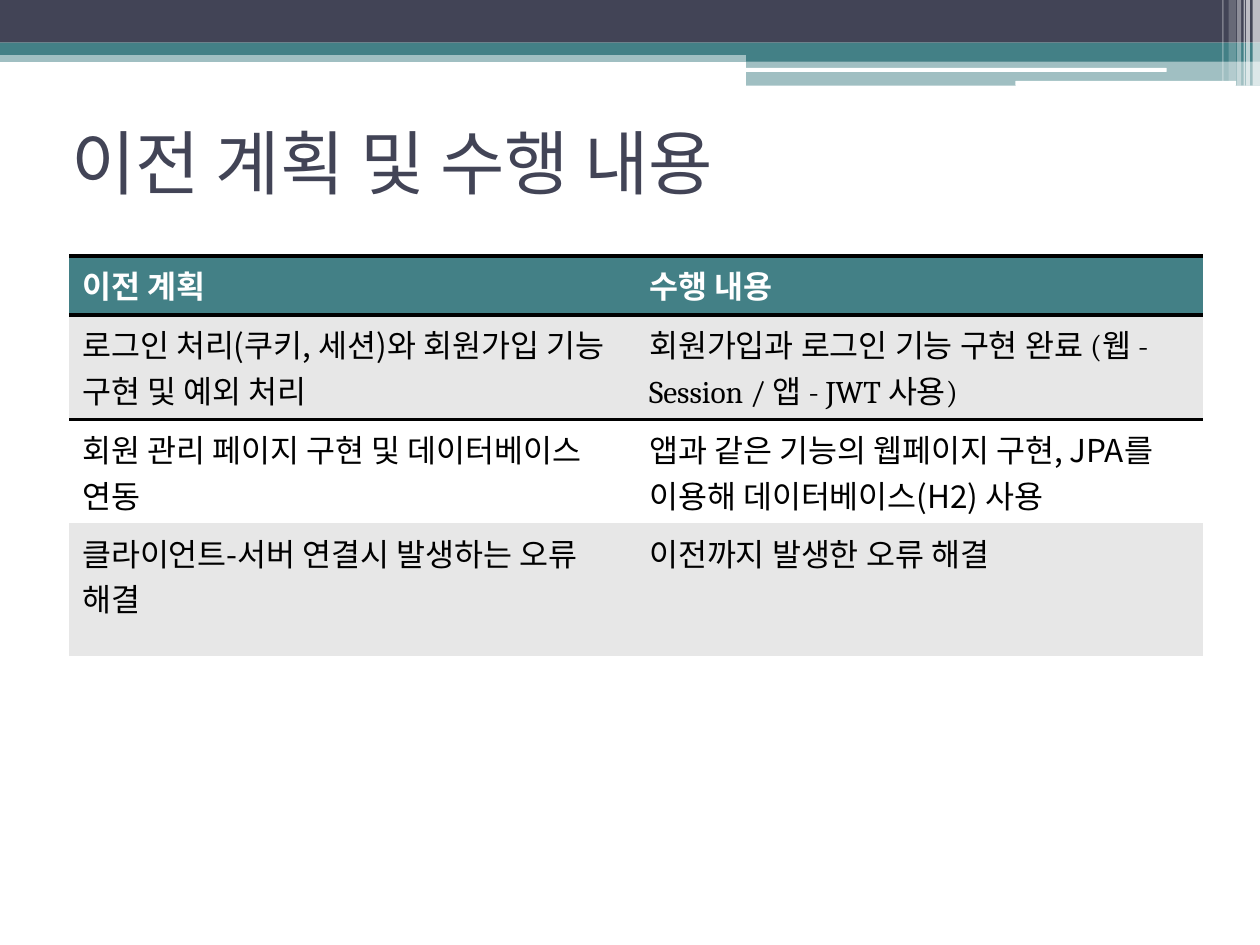
from dataclasses import dataclass
from lxml.etree import SubElement
from pptx import Presentation
from pptx.dml.color import RGBColor
from pptx.enum.shapes import MSO_SHAPE
from pptx.enum.text import MSO_ANCHOR, PP_ALIGN
from pptx.oxml import parse_xml
from pptx.oxml.ns import qn
from pptx.util import Cm, Pt


@dataclass(frozen=True)
class Theme:
    navy: str = "424456"
    teal: str = "438086"
    white: str = "FFFFFF"
    black: str = "000000"
    gray: str = "E7E7E7"
    head: int = 40
    body: int = 18
    sans: str = "Noto Sans"
    serif: str = "Cambria"
    asian: str = "Noto Sans CJK KR"


theme = Theme()

TITLE = "이전 계획 및 수행 내용"
ROWS = [
    ("이전 계획", "수행 내용"),
    ("로그인 처리(쿠키, 세션)와 회원가입 기능 구현 및 예외 처리",
     "회원가입과 로그인 기능 구현 완료 (웹 - Session / 앱 - JWT 사용)"),
    ("회원 관리 페이지 구현 및 데이터베이스 연동",
     "앱과 같은 기능의 웹페이지 구현, JPA를 이용해 데이터베이스(H2) 사용"),
    ("클라이언트-서버 연결시 발생하는 오류 해결", "이전까지 발생한 오류 해결"),
]
HEIGHTS = [1.19, 2.11, 1.98, 2.67]
SERIF_CELLS = {(0, 0), (0, 1), (1, 1)}

BARS = [
    (0, 1.02, 25.4, 0.23, theme.teal, 50),
    (0, 0, 25.4, 0.86, theme.navy, 100),
    (0, 0.86, 25.4, 0.25, theme.teal, 100),
    (15.04, 0.99, 10.36, 0.25, theme.teal, 100),
    (15.04, 1.22, 10.36, 0.51, theme.teal, 50),
]
PILLS = [(15.01, 1.37, 8.51, 0.08), (20.47, 1.63, 4.45, 0.1)]
STRIPES = [
    (25.25, 0.15, 1.73, 65),
    (25.12, 0.08, 1.73, 65),
    (25.07, 0.03, 1.73, 60),
    (24.94, 0.08, 1.73, 40),
    (24.77, 0.15, 1.63, 20),
    (24.64, 0.03, 1.63, 30),
]

deck = Presentation()
deck.slide_width, deck.slide_height = Cm(25.4), Cm(19.05)
slide = deck.slides.add_slide(deck.slide_layouts[5])


def write(frame, text, size, font, color, bold=False):
    para = frame.paragraphs[0]
    para.alignment = PP_ALIGN.LEFT
    run = para.add_run()
    run.text = text
    run.font.size = Pt(size)
    run.font.name = font
    run.font.bold = bold
    run.font.color.rgb = RGBColor.from_string(color)
    SubElement(run.font._element, qn("a:ea"), typeface=theme.asian)


def draw(left, top, width, height, color, alpha=100, kind=MSO_SHAPE.RECTANGLE):
    shape = slide.shapes.add_shape(kind, Cm(left), Cm(top), Cm(width), Cm(height))
    shape.shadow.inherit = False
    shape.line.fill.background()
    shape.fill.solid()
    shape.fill.fore_color.rgb = RGBColor.from_string(color)
    if alpha < 100:
        tint = shape._element.spPr.find(qn("a:solidFill"))[0]
        SubElement(tint, qn("a:alpha"), val=str(alpha * 1000))


def border(cell, sides):
    props = cell._tc.get_or_add_tcPr()
    for index, side in enumerate(sides):
        props.insert(index, parse_xml(
            f'<a:ln{side} xmlns:a="http://schemas.openxmlformats.org/drawingml/2006/main" '
            f'w="{Pt(2)}"><a:solidFill><a:srgbClr val="{theme.black}"/>'
            f'</a:solidFill></a:ln{side}>'))


for bar in BARS:
    draw(*bar)
for pill in PILLS:
    draw(*pill, theme.white, kind=MSO_SHAPE.ROUNDED_RECTANGLE)
for left, width, height, alpha in STRIPES:
    draw(left, 0, width, height, theme.white, alpha)

title = slide.shapes.title
title.left, title.top, title.width, title.height = Cm(1.19), Cm(1.78), Cm(22.86), Cm(2.97)
title.text_frame.vertical_anchor = MSO_ANCHOR.MIDDLE
write(title.text_frame, TITLE, theme.head, theme.sans, theme.navy)

table = slide.shapes.add_table(
    len(ROWS), 2, Cm(1.4), Cm(5.16), Cm(22.86), Cm(sum(HEIGHTS))).table
style = table._tbl.tblPr.find(qn("a:tableStyleId"))
style.text = "{2D5ABB26-0587-4C30-8999-92F81FD0307C}"
for row, texts in enumerate(ROWS):
    table.rows[row].height = Cm(HEIGHTS[row])
    top = row == 0
    back = theme.teal if top else theme.gray if row % 2 else theme.white
    for col, text in enumerate(texts):
        cell = table.cell(row, col)
        cell.fill.solid()
        cell.fill.fore_color.rgb = RGBColor.from_string(back)
        border(cell, "TB" if top else "T" if row == 1 else "")
        font = theme.serif if (row, col) in SERIF_CELLS else theme.asian
        write(cell.text_frame, text, theme.body, font,
              theme.white if top else theme.black, bold=top)

deck.save("out.pptx")
